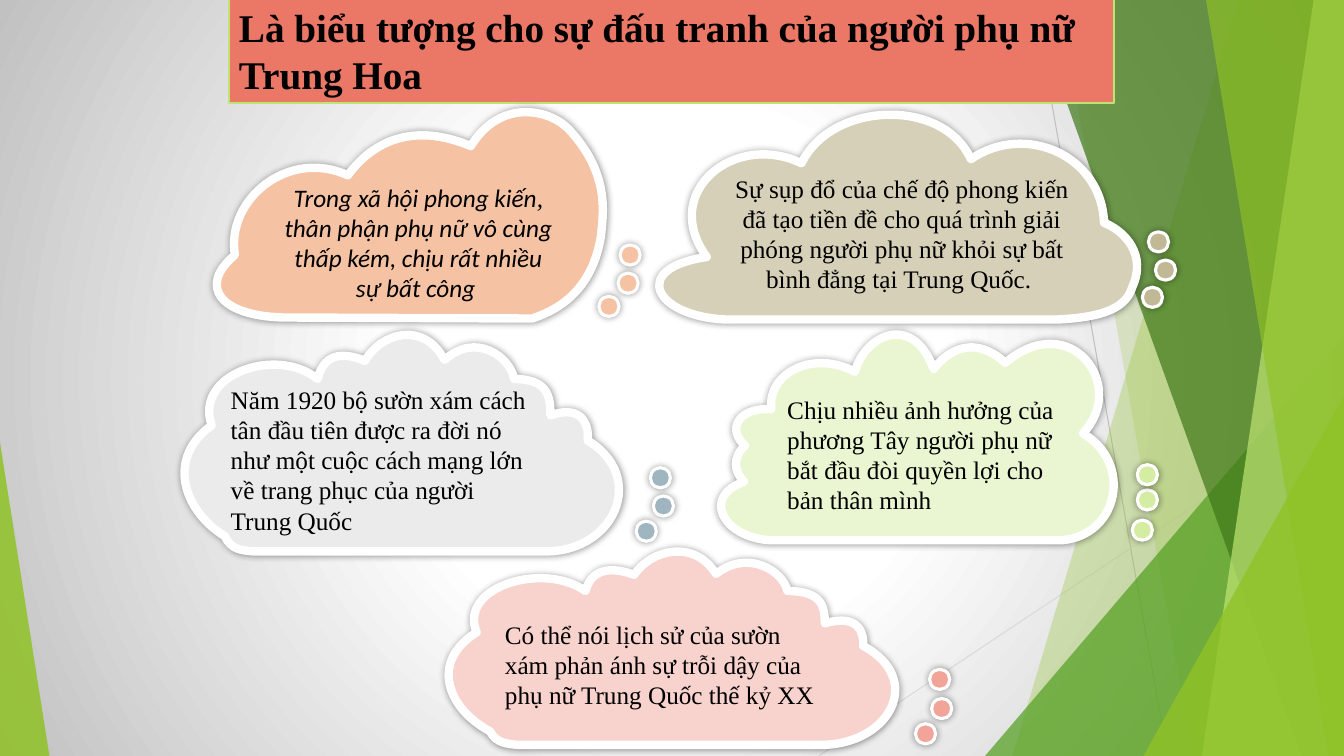
from lxml.etree import SubElement
from pptx import Presentation
from pptx.dml.color import RGBColor
from pptx.enum.shapes import MSO_CONNECTOR, MSO_SHAPE
from pptx.enum.text import MSO_ANCHOR, MSO_AUTO_SIZE, PP_ALIGN
from pptx.oxml.ns import qn
from pptx.util import Inches, Pt

WHITE = RGBColor(0xFF, 0xFF, 0xFF)
BLACK = RGBColor(0, 0, 0)
SILVER = RGBColor(0xC1, 0xC1, 0xC1)
GREY = RGBColor(0xBF, 0xBF, 0xBF)
PALE = RGBColor(0xD9, 0xD9, 0xD9)
GREEN = RGBColor(0x90, 0xC2, 0x26)
LEAF = RGBColor(0x54, 0xA0, 0x21)
FOREST = RGBColor(0x3F, 0x78, 0x19)
LIME = RGBColor(0xC0, 0xE4, 0x74)
CORAL = RGBColor(0xEB, 0x77, 0x66)
PEACH = RGBColor(0xF5, 0xC2, 0xA3)
SAND = RGBColor(0xD6, 0xD0, 0xB8)
TAN = RGBColor(0xC1, 0xB9, 0x95)
MIST = RGBColor(0xEB, 0xEB, 0xEB)
STEEL = RGBColor(0x9F, 0xB6, 0xC0)
MINT = RGBColor(0xEA, 0xF6, 0xD1)
SPRING = RGBColor(0xD5, 0xED, 0xA2)
BLUSH = RGBColor(0xF8, 0xD2, 0xCC)
ROSE = RGBColor(0xF2, 0xA4, 0x99)

SERIF, SANS = "Times New Roman", "Calibri"
LEFT, CENTER = PP_ALIGN.LEFT, PP_ALIGN.CENTER
TOP, MIDDLE = MSO_ANCHOR.TOP, MSO_ANCHOR.MIDDLE

TALL = (2.15, 1.12, 3.83, 2.04), [
    (2.8, 3.15), (5.28, 3.16),
    (5.45, 3.1), (5.86, 2.95), (5.96, 2.35),
    (5.98, 2.13), (6.06, 1.73), (5.64, 1.28),
    (5.43, 1.07), (4.95, 0.99), (4.67, 1.45),
    (4.2, 1.25), (3.76, 1.32), (3.45, 1.74),
    (2.87, 1.47), (2.24, 1.97), (2.33, 2.53),
    (1.96, 2.84), (2.18, 3.13), (2.8, 3.15)]
WIDE = (6.54, 1.13, 4.74, 2.04), [
    (7.2, 3.17), (10.48, 3.17),
    (10.95, 3.15), (11.17, 3.05), (11.23, 2.85),
    (11.38, 2.52), (11.15, 2.29), (10.95, 2.21),
    (10.93, 1.54), (10.16, 1.21), (9.63, 1.58),
    (9.36, 0.97), (8.25, 1), (7.95, 1.62),
    (7.28, 1.3), (6.54, 1.91), (7.01, 2.55),
    (6.24, 2.66), (6.49, 3.14), (7.2, 3.17)]
PUFFY = (1.83, 3.32, 4.31, 2.15), [
    (2.51, 5.47), (5.43, 5.47),
    (6.1, 5.46), (6.42, 4.73), (5.83, 4.37),
    (5.84, 4.26), (5.81, 4), (5.46, 4.12),
    (5.46, 3.94), (5.44, 3.76), (5.1, 3.76),
    (5.06, 3.54), (4.72, 3.29), (4.41, 3.57),
    (4.2, 3.18), (3.78, 3.3), (3.62, 3.58),
    (3.45, 3.51), (3.22, 3.47), (3.15, 3.76),
    (2.75, 3.43), (1.92, 3.71), (2.1, 4.22),
    (1.65, 4.54), (1.81, 5.06), (2.23, 5.32),
    (2.29, 5.45), (2.39, 5.46), (2.51, 5.47)]
ROUND = (7.15, 3.32, 3.89, 2.04), [
    (7.64, 5.36), (10.53, 5.36),
    (11.11, 5.31), (11.23, 4.58), (10.74, 4.3),
    (11.19, 3.83), (10.62, 3.05), (9.97, 3.6),
    (9.76, 3.4), (9.49, 3.37), (9.26, 3.66),
    (9.05, 3.09), (8.57, 3.33), (8.48, 3.69),
    (8.08, 3.47), (7.61, 3.69), (7.65, 4.06),
    (7.31, 4.04), (7.21, 4.27), (7.39, 4.42),
    (7.26, 4.54), (7.28, 4.68), (7.38, 4.78),
    (6.96, 4.92), (7.16, 5.33), (7.64, 5.36)]

CLOUDS = [
    (TALL[0], TALL, PEACH, (2.69, 1.75, 2.92, 1.31), CENTER, MIDDLE,
     [("Trong xã hội phong kiến", SANS, True), (", ", SERIF, True),
      ("thân phận phụ nữ vô cùng thấp kém, chịu rất nhiều sự bất công ", SANS, True)],
     PEACH, [(5.94, 2.94), (6.13, 2.71), (6.15, 2.43)]),
    (WIDE[0], WIDE, SAND, (7.15, 1.66, 3.59, 1.31), CENTER, MIDDLE,
     [("Sự sụp đổ của chế độ phong kiến đã tạo tiền đề cho quá trình giải phóng "
       "người phụ nữ khỏi sự bất bình đẳng tại Trung Quốc. ", SERIF, False)],
     TAN, [(11.33, 2.85), (11.46, 2.58), (11.39, 2.3)]),
    (PUFFY[0], PUFFY, MIST, (2.19, 3.76, 3.25, 1.62), LEFT, TOP,
     [("Năm 1920 bộ sườn xám cách tân đầu tiên được ra đời nó như một cuộc cách "
       "mạng lớn về trang phục của người Trung Quốc", SERIF, False)],
     STEEL, [(6.31, 5.17), (6.48, 4.92), (6.45, 4.64)]),
    (ROUND[0], ROUND, MINT, (7.71, 3.86, 2.94, 1.31), LEFT, TOP,
     [("Chịu nhiều ảnh hưởng của phương Tây người phụ nữ bắt đầu đòi quyền lợi "
       "cho bản thân mình", SERIF, False)],
     SPRING, [(11.23, 5.16), (11.28, 4.86), (11.28, 4.61)]),
    ((4.45, 5.47, 4.43, 1.92), PUFFY, BLUSH, (4.91, 6.09, 3.35, 1.01), LEFT, TOP,
     [("Có thể nói lịch sử của sườn xám phản ánh sự trỗi dậy của phụ nữ "
       "Trung Quốc thế kỷ XX", SERIF, False)],
     ROSE, [(9.08, 7.18), (9.24, 6.93), (9.22, 6.64)]),
]


def trace(shapes, points):
    """Build a closed outline through points in inches."""
    spots = [(Inches(x), Inches(y)) for x, y in points]
    pen = shapes.build_freeform(*spots[0])
    pen.add_line_segments(spots[1:], close=True)
    return pen.convert_to_shape()


def puff(shapes, box, outline):
    """Build a curved outline stretched to a box."""
    left, top, width, high = box
    right, foot = left + width, top + high
    shape = trace(shapes, [(left, top), (right, top), (right, foot), (left, foot)])
    frame, points = outline
    route = shape.element.spPr.find(".//" + qn("a:path"))
    for child in list(route):
        route.remove(child)
    route.set("w", str(Inches(frame[2])))
    route.set("h", str(Inches(frame[3])))
    curves = [("cubicBezTo", points[i:i + 3]) for i in range(2, len(points), 3)]
    for tag, group in [("moveTo", points[:1]), ("lnTo", points[1:2])] + curves:
        step = SubElement(route, qn("a:" + tag))
        for x, y in group:
            spot = SubElement(step, qn("a:pt"))
            spot.set("x", str(Inches(x - frame[0])))
            spot.set("y", str(Inches(y - frame[1])))
    SubElement(route, qn("a:close"))
    return shape


def tint(shape, color, alpha):
    """Give a shape a see-through fill without a line."""
    shape.shadow.inherit = False
    shape.fill.solid()
    shape.fill.fore_color.rgb = color
    shape.line.fill.background()
    node = shape.element.spPr.find(".//" + qn("a:srgbClr"))
    SubElement(node, qn("a:alpha")).set("val", str(alpha * 1000))


def glow(shape, color, width):
    """Give a shape a fill, a white rim and a soft shadow."""
    shape.fill.solid()
    shape.fill.fore_color.rgb = color
    shape.line.color.rgb = WHITE
    shape.line.width = Pt(width)
    shape.shadow.inherit = False
    cast = SubElement(shape.element.spPr.find(qn("a:effectLst")), qn("a:outerShdw"))
    cast.set("blurRad", str(Pt(5)))
    shade = SubElement(cast, qn("a:srgbClr"))
    shade.set("val", str(BLACK))
    SubElement(shade, qn("a:alpha")).set("val", "40000")


def write(frame, runs, size, align, anchor, bold=False):
    """Fill a text frame run by run."""
    frame.word_wrap = True
    frame.auto_size = MSO_AUTO_SIZE.SHAPE_TO_FIT_TEXT
    frame.vertical_anchor = anchor
    para = frame.paragraphs[0]
    para.alignment = align
    for text, face, slant in runs:
        run = para.add_run()
        run.text = text
        font = run.font
        font.name, font.size, font.bold, font.italic = face, Pt(size), bold, slant
        font.color.rgb = BLACK


def paint(slide):
    """Set the round backdrop gradient."""
    fill = slide.background.fill
    fill.gradient()
    for stop, place, color in zip(fill.gradient_stops, (0.35, 1), (WHITE, SILVER)):
        stop.position = place
        stop.color.rgb = color
    lin = slide.element.find(".//" + qn("a:lin"))
    grad = lin.getparent()
    grad.remove(lin)
    ring = SubElement(grad, qn("a:path"))
    ring.set("path", "circle")
    focus = SubElement(ring, qn("a:fillToRect"))
    for side in "ltrb":
        focus.set(side, "50000")


def facets(slide, wide, high):
    """Draw the green facets along the edges of the slide."""
    shapes = slide.shapes
    for ends, color in (((10.25, 0, 11.58, high), GREY), ((wide, 4.03, 8.12, high), PALE)):
        line = shapes.add_connector(MSO_CONNECTOR.STRAIGHT, *map(Inches, ends))
        line.line.color.rgb = color
        line.line.width = Pt(0.75)
        SubElement(line.element.spPr, qn("a:effectLst"))

    def band(top, foot, color, alpha):
        """Draw a band that reaches the right edge."""
        points = [(top, -0.01), (wide, -0.01), (wide, high), (foot, high)]
        tint(trace(shapes, points), color, alpha)

    def wedge(left, top, width, apex, color, alpha):
        """Draw a triangle that stands on the bottom edge."""
        box = map(Inches, (left, top, width, high - top))
        shape = shapes.add_shape(MSO_SHAPE.ISOSCELES_TRIANGLE, *box)
        shape.adjustments[0] = apex
        tint(shape, color, alpha)

    band(12.28, 10.04, GREEN, 30)
    band(10.5, 11.83, GREEN, 20)
    wedge(9.77, 3.33, 3.56, 1, LEAF, 72)
    band(10.21, 12.91, FOREST, 70)
    band(13.03, 11.92, LIME, 70)
    band(11.96, 13.18, GREEN, 65)
    wedge(11.34, 3.93, 1.99, 1, GREEN, 80)
    wedge(0, 4.39, 0.49, 0, GREEN, 85)


def head(slide, box):
    """Place the title bar above the facets."""
    title = slide.shapes.title
    title.left, title.top, title.width, title.height = map(Inches, box)
    title.fill.solid()
    title.fill.fore_color.rgb = CORAL
    title.line.color.rgb = LIME
    title.line.width = Pt(1)
    text = "Là biểu tượng cho sự đấu tranh của người phụ nữ Trung Hoa"
    write(title.text_frame, [(text, SERIF, False)], 28, LEFT, MIDDLE, True)
    title.element.getparent().append(title.element)


def cloud(slide, box, outline, color, area, align, anchor, runs, accent, dots):
    """Draw a thought cloud with its text and trail of dots."""
    glow(puff(slide.shapes, box, outline), color, 6)
    trail = slide.shapes.add_group_shape().shapes
    for left, top in dots:
        dot = trail.add_shape(MSO_SHAPE.OVAL, *map(Inches, (left, top, 0.2, 0.2)))
        glow(dot, accent, 2.25)
    note = slide.shapes.add_textbox(*map(Inches, area))
    write(note.text_frame, runs, 18, align, anchor)


def main():
    """Build and save the slide."""
    deck = Presentation()
    deck.slide_width, deck.slide_height = Inches(13.33), Inches(7.5)
    slide = deck.slides.add_slide(deck.slide_layouts[5])
    paint(slide)
    facets(slide, 13.33, 7.5)
    head(slide, (2.27, -0.02, 8.78, 1.04))
    for item in CLOUDS:
        cloud(slide, *item)
    deck.save("out.pptx")


if __name__ == "__main__":
    main()
